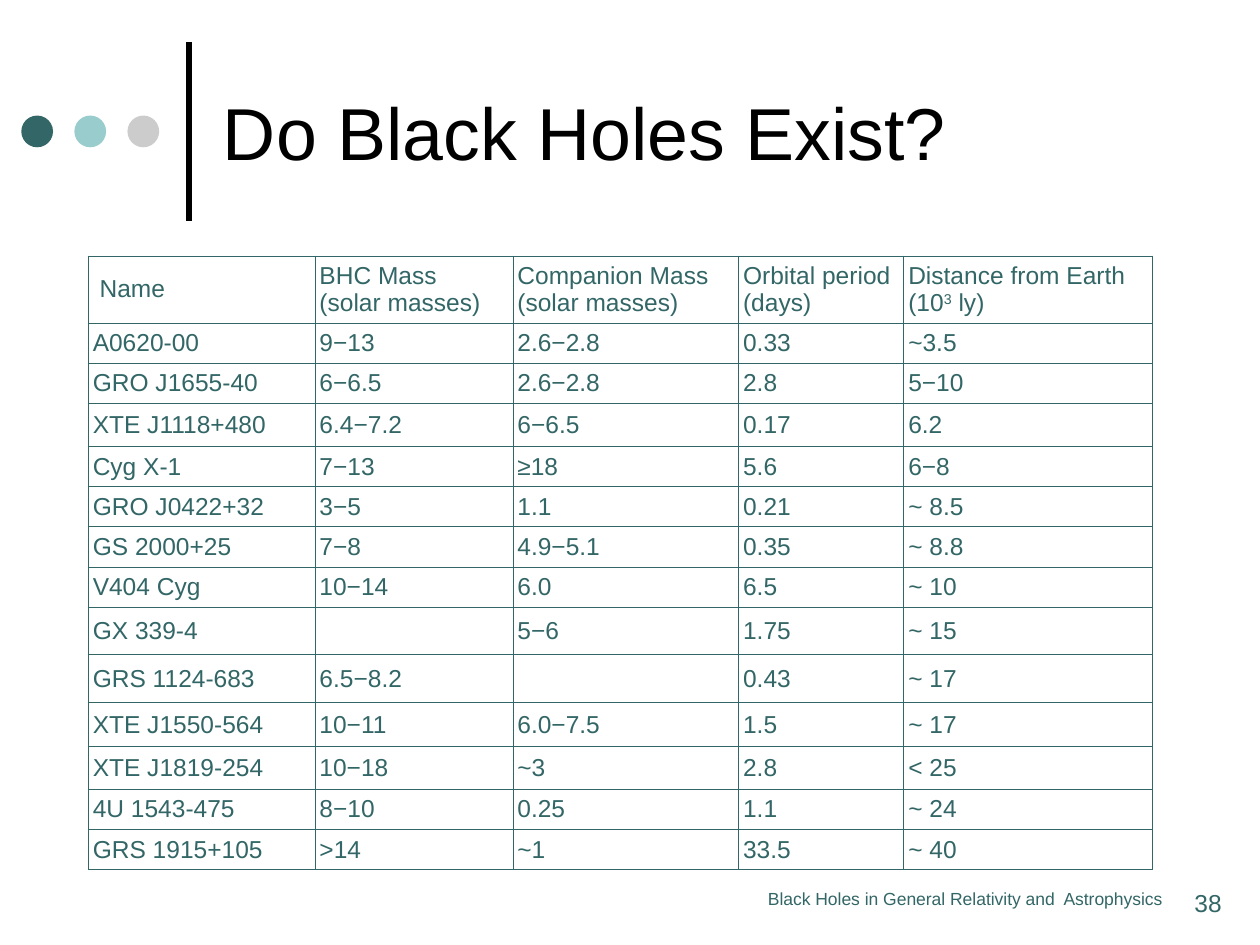
"""Build a slide with a table of black hole candidates."""
from dataclasses import dataclass

from lxml.etree import SubElement
from pptx import Presentation
from pptx.dml.color import RGBColor
from pptx.enum.shapes import MSO_CONNECTOR as Connector, MSO_SHAPE as Shape
from pptx.enum.text import MSO_ANCHOR as Anchor, PP_ALIGN as Align
from pptx.oxml import parse_xml
from pptx.oxml.ns import nsdecls, qn
from pptx.util import Cm, Pt

BLACK = RGBColor(0x00, 0x00, 0x00)
TEAL = RGBColor(0x33, 0x66, 0x66)
AQUA = RGBColor(0x99, 0xCC, 0xCC)
GREY = RGBColor(0xCC, 0xCC, 0xCC)
FONT = "Arial"

COLUMN_WIDTHS = (4.57, 3.99, 4.55, 3.33, 5.0)
ROW_HEIGHT = 0.81
SPECIAL_HEIGHTS = {0: 1.35, 3: 0.87, 8: 0.96, 9: 0.96, 10: 0.89, 11: 0.86}
HEADINGS = (
    " Name",
    "BHC Mass\n(solar masses)",
    "Companion Mass (solar masses)",
    "Orbital period (days)",
    "Distance from Earth (10^3^ ly)",
)


@dataclass(frozen=True)
class Candidate:
    name: str
    mass: str
    companion: str
    period: str
    distance: str

    def values(self) -> tuple[str, ...]:
        return self.name, self.mass, self.companion, self.period, self.distance


@dataclass(frozen=True)
class Caption:
    text: str
    left: float
    width: float
    size: int
    align: Align


CANDIDATES = (
    Candidate("A0620-00", "9−13", "2.6−2.8", "0.33", "~3.5"),
    Candidate("GRO J1655-40", "6−6.5", "2.6−2.8", "2.8", "5−10"),
    Candidate("XTE J1118+480", "6.4−7.2", "6−6.5", "0.17", "6.2"),
    Candidate("Cyg X-1", "7−13", "≥18", "5.6", "6−8"),
    Candidate("GRO J0422+32", "3−5", "1.1", "0.21", "~ 8.5"),
    Candidate("GS 2000+25", "7−8", "4.9−5.1", "0.35", "~ 8.8"),
    Candidate("V404 Cyg", "10−14", "6.0", "6.5", "~ 10"),
    Candidate("GX 339-4", "", "5−6", "1.75", "~ 15"),
    Candidate("GRS 1124-683", "6.5−8.2", "", "0.43", "~ 17"),
    Candidate("XTE J1550-564", "10−11", "6.0−7.5", "1.5", "~ 17"),
    Candidate("XTE J1819-254", "10−18", "~3", "2.8", "< 25"),
    Candidate("4U 1543-475", "8−10", "0.25", "1.1", "~ 24"),
    Candidate("GRS 1915+105", ">14", "~1", "33.5", "~ 40"),
)
CAPTIONS = (
    Caption("38", 23.83, 1.22, 14, Align.LEFT),
    Caption("Black Holes in General Relativity and  Astrophysics",
            14.68, 9.55, 10, Align.CENTER),
)


def style_paragraph(para, size: int, color: RGBColor, align: Align = Align.LEFT) -> None:
    para.alignment = align
    para.font.name = FONT
    para.font.size = Pt(size)
    para.font.color.rgb = color


def draw_title(slide, text: str) -> None:
    title = slide.shapes.title
    title.left, title.top, title.width, title.height = Cm(4.24), Cm(0.53), Cm(19.48), Cm(4.24)
    title.text_frame.text = text
    title.text_frame.vertical_anchor = Anchor.MIDDLE
    style_paragraph(title.text_frame.paragraphs[0], 42, BLACK)


def draw_ornament(slide) -> None:
    bar = slide.shapes.add_connector(Connector.STRAIGHT, Cm(3.81), Cm(4.45), Cm(3.81), Cm(0.84))
    bar.line.color.rgb = BLACK
    bar.line.width = Pt(3)
    SubElement(bar._element.spPr, qn("a:effectLst"))
    for index, color in enumerate((TEAL, AQUA, GREY)):
        dot = slide.shapes.add_shape(
            Shape.OVAL, Cm(0.43 + 1.07 * index), Cm(2.33), Cm(0.64), Cm(0.64))
        dot.shadow.inherit = False
        dot.fill.solid()
        dot.fill.fore_color.rgb = color
        dot.line.fill.background()


def draw_caption(slide, caption: Caption) -> None:
    box = slide.shapes.add_textbox(Cm(caption.left), Cm(17.78), Cm(caption.width), Cm(1.27))
    box.text_frame.word_wrap = True
    box.text_frame.text = caption.text
    style_paragraph(box.text_frame.paragraphs[0], caption.size, TEAL, caption.align)


def draw_borders(cell) -> None:
    properties = cell._tc.get_or_add_tcPr()
    for index, side in enumerate(("lnL", "lnR", "lnT", "lnB")):
        properties.insert(index, parse_xml(
            f'<a:{side} {nsdecls("a")} w="{Pt(0.45)}"><a:solidFill>'
            f'<a:srgbClr val="{TEAL}"/></a:solidFill></a:{side}>'))


def fill_cell(cell, text: str) -> None:
    cell.fill.background()
    cell.vertical_anchor = Anchor.MIDDLE
    cell.margin_left = cell.margin_right = Cm(0.09)
    cell.margin_top = cell.margin_bottom = Cm(0.08)
    draw_borders(cell)
    for index, line in enumerate(text.split("\n")):
        para = cell.text_frame.add_paragraph() if index else cell.text_frame.paragraphs[0]
        style_paragraph(para, 14, TEAL)
        for position, part in enumerate(line.split("^")):
            if part:
                span = para.add_run()
                span.text = part
                if position % 2:
                    span._r.get_or_add_rPr().set("baseline", "30000")


def draw_table(slide) -> None:
    rows = (HEADINGS, *(candidate.values() for candidate in CANDIDATES))
    heights = [SPECIAL_HEIGHTS.get(index, ROW_HEIGHT) for index in range(len(rows))]
    table = slide.shapes.add_table(
        len(rows), len(COLUMN_WIDTHS), Cm(1.78), Cm(5.16),
        Cm(sum(COLUMN_WIDTHS)), Cm(sum(heights))).table
    table.first_row = table.horz_banding = False
    for column, width in zip(table.columns, COLUMN_WIDTHS):
        column.width = Cm(width)
    for row, height, texts in zip(table.rows, heights, rows):
        row.height = Cm(height)
        for cell, text in zip(row.cells, texts):
            fill_cell(cell, text)


def main() -> None:
    deck = Presentation()
    deck.slide_width, deck.slide_height = Cm(25.4), Cm(19.05)
    slide = deck.slides.add_slide(deck.slide_layouts[5])
    draw_ornament(slide)
    draw_title(slide, "Do Black Holes Exist?")
    for caption in CAPTIONS:
        draw_caption(slide, caption)
    draw_table(slide)
    deck.save("out.pptx")


if __name__ == "__main__":
    main()
